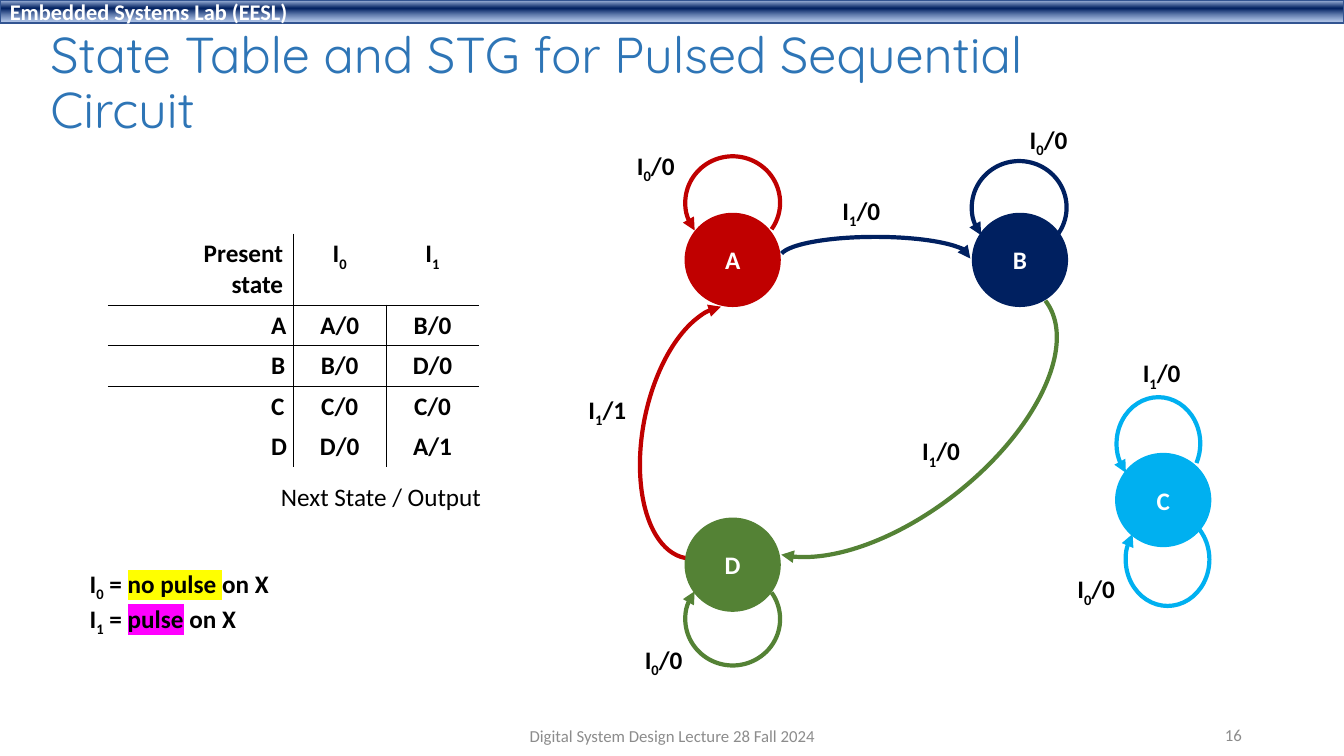
from lxml.etree import SubElement
from pptx import Presentation
from pptx.dml.color import RGBColor
from pptx.enum.shapes import MSO_SHAPE
from pptx.enum.text import MSO_ANCHOR, PP_ALIGN
from pptx.oxml import parse_xml
from pptx.oxml.ns import nsdecls, qn
from pptx.util import Cm, Pt

BLACK = RGBColor(0x00, 0x00, 0x00)
WHITE = RGBColor(0xFF, 0xFF, 0xFF)
GRAY = RGBColor(0x8C, 0x8C, 0x8C)
TITLE_BLUE = RGBColor(0x2E, 0x75, 0xB6)
BAR_LINE = RGBColor(0x32, 0x54, 0x91)
BAR_LIGHT = RGBColor(0xAB, 0xC0, 0xE4)
BAR_END = RGBColor(0x7E, 0x9E, 0xD6)
RED = RGBColor(0xC0, 0x00, 0x00)
NAVY = RGBColor(0x00, 0x20, 0x60)
GREEN = RGBColor(0x54, 0x82, 0x35)
SKY = RGBColor(0x00, 0xB0, 0xF0)
YELLOW = RGBColor(0xFF, 0xFF, 0x00)
MAGENTA = RGBColor(0xFF, 0x00, 0xFF)

NO_STYLE = "{2D5ABB26-0587-4C30-8999-92F81FD0307C}"
INDENT = Cm(1.27)
NODE_W, NODE_H = 2.39, 2.34
LOOP = (86.31, 20.58)

NODES = [("A", 17.27, 5.38, RED), ("B", 24.51, 5.38, NAVY),
         ("C", 28.12, 11.43, SKY), ("D", 17.27, 13.06, GREEN)]
LOOPS = [(17.27, 3.94, NODE_W, LOOP, RED, False),
         (24.49, 4.06, NODE_W, LOOP, NAVY, False),
         (17.27, 14.43, NODE_W, LOOP, GREEN, True),
         (28.14, 10.01, 2.11, (82.86, 16.22), SKY, False),
         (28.37, 12.93, 2.11, (86.31, 26.65), SKY, True)]
EDGES = [((19.66, 5.97, 4.8, 1.02), (109.32, 0.51), NAVY, 0),
         ((14.66, 9.22, 6.45, 3.35), (107.92, 212.45), RED, 281.1),
         ((17.81, 8.08, 9.55, 4.88), (108.02, 208.84), GREEN, 141.9)]
LABELS = [("0", "/0", 15.8, 3.66), ("0", "/0", 25.7, 3), ("1", "/0", 20.98, 4.8),
          ("1", "/1", 14.58, 9.8), ("1", "/0", 22.99, 10.85), ("0", "/0", 16, 16.1),
          ("1", "/0", 28.55, 8.89), ("0", "/0", 26.9, 14.33)]
HEADINGS = ["Present\nstate", None, ("I", "0"), ("I", "1")]
STATES = [("A", "A/0", "B/0"), ("B", "B/0", "D/0"), ("C", "C/0", "C/0"), ("D", "D/0", "A/1")]


def style(p, size=18, color=BLACK, bold=False, font="Calibri", align=PP_ALIGN.LEFT):
    """Format a paragraph and its runs."""
    p.alignment = align
    for r in p.runs:
        r.font.size, r.font.bold, r.font.name = Pt(size), bold, font
        r.font.color.rgb = color


def write_input(p, index, *rest, align=PP_ALIGN.LEFT):
    """Write an input symbol with its subscript and any following runs."""
    for text in ("I", index, *rest):
        p.add_run().text = text
    style(p, bold=True, align=align)
    p.runs[1]._r.get_or_add_rPr().set("baseline", "-25000")


def indent(p):
    """Indent a second-level paragraph."""
    p.level = 1
    pPr = p._p.get_or_add_pPr()
    pPr.set("marL", str(INDENT))
    pPr.set("indent", "0")


def highlight(r, color):
    """Put a highlight behind a run."""
    mark = parse_xml(f'<a:highlight {nsdecls("a")}><a:srgbClr val="{color}"/></a:highlight>')
    r._r.rPr.find(qn("a:latin")).addprevious(mark)


def add_text(s, box, text="", wrap=True, anchor=MSO_ANCHOR.TOP, **look):
    """Add a text box and return its text frame."""
    tf = s.shapes.add_textbox(*map(Cm, box)).text_frame
    tf.word_wrap, tf.vertical_anchor = wrap, anchor
    tf.text = text
    style(tf.paragraphs[0], **look)
    return tf


def add_bar(s):
    """Add the gradient band with the lab name."""
    sp = s.shapes.add_shape(MSO_SHAPE.RECTANGLE, 0, 0, Cm(33.87), Cm(0.58))
    sp.shadow.inherit = False
    sp.line.color.rgb, sp.line.width = BAR_LINE, Pt(1)
    stops = "".join(
        f'<a:gs pos="{pos}000"><a:srgbClr val="{color}"><a:alpha val="{alpha}000"/></a:srgbClr></a:gs>'
        for pos, color, alpha in ((2, BAR_LIGHT, 100), (38, NAVY, 100), (93, BAR_END, 64)))
    fill = parse_xml(f'<a:gradFill {nsdecls("a")} rotWithShape="1"><a:gsLst>{stops}</a:gsLst>'
                     '<a:lin ang="5400000" scaled="0"/></a:gradFill>')
    sp.element.spPr.find(qn("a:prstGeom")).addnext(fill)
    tf = sp.text_frame
    tf.vertical_anchor = MSO_ANCHOR.MIDDLE
    tf.text = "Embedded Systems Lab (EESL)"
    style(tf.paragraphs[0], 16, WHITE, True)


def add_node(s, name, x, y, color):
    """Add a state circle."""
    sp = s.shapes.add_shape(MSO_SHAPE.OVAL, Cm(x), Cm(y), Cm(NODE_W), Cm(NODE_H))
    sp.shadow.inherit = False
    sp.fill.solid()
    sp.fill.fore_color.rgb = sp.line.color.rgb = color
    sp.line.width = Pt(1)
    tf = sp.text_frame
    tf.vertical_anchor = MSO_ANCHOR.MIDDLE
    tf.text = name
    style(tf.paragraphs[0], color=WHITE, bold=True, align=PP_ALIGN.CENTER)


def add_arc(s, box, angles, color, end, rotation=0, flip=False):
    """Add a curved transition with an arrowhead at one end."""
    sp = s.shapes.add_shape(MSO_SHAPE.ARC, *map(Cm, box))
    sp.shadow.inherit = False
    sp.adjustments[0], sp.adjustments[1] = angles
    sp.rotation = rotation
    sp.fill.background()
    sp.line.color.rgb, sp.line.width = color, Pt(3)
    SubElement(sp.element.spPr.find(qn("a:ln")), qn(f"a:{end}"), type="triangle")
    if flip:
        sp.element.spPr.find(qn("a:xfrm")).set("flipV", "1")


def add_borders(cell, row, col):
    """Draw the rules around one cell of the state table."""
    sides = {"L": col == 2 or (col == 3 and row > 0),
             "R": col == 1 or (col == 2 and row > 0) or (row, col) == (0, 0),
             "T": row in (1, 2),
             "B": row in (0, 1)}
    for side, drawn in sides.items():
        if drawn:
            cell._tc.get_or_add_tcPr().append(parse_xml(
                f'<a:ln{side} {nsdecls("a")} w="12700"><a:solidFill>'
                f'<a:srgbClr val="{BLACK}"/></a:solidFill></a:ln{side}>'))
    cell.fill.background()


def add_state_table(s):
    """Add the table of next states and outputs."""
    frame = s.shapes.add_table(5, 4, Cm(2.72), Cm(5.89), Cm(9.35), Cm(5.86))
    table = frame.table
    table.first_row = table.horz_banding = False
    table._tbl.tblPr.find(qn("a:tableStyleId")).text = NO_STYLE
    for column, width in zip(table.columns, (2.59, 2.08, 2.34, 2.34)):
        column.width = Cm(width)
    for i, row in enumerate(table.rows):
        row.height = Cm(1.02 if i else 1.8)
    table.cell(0, 0).merge(table.cell(0, 1))
    for i, values in enumerate([HEADINGS, *((None, *state) for state in STATES)]):
        for j, value in enumerate(values):
            cell = table.cell(i, j)
            add_borders(cell, i, j)
            tf = cell.text_frame
            if isinstance(value, tuple):
                write_input(tf.paragraphs[0], value[1], align=PP_ALIGN.CENTER)
            elif value:
                tf.text = value
                align = PP_ALIGN.RIGHT if i == 0 else PP_ALIGN.LEFT if j == 1 else PP_ALIGN.CENTER
                for p in tf.paragraphs:
                    style(p, bold=True, align=align)
                if i and j == 1:
                    indent(tf.paragraphs[0])


def add_legend(s):
    """Explain the two input symbols."""
    tf = add_text(s, (0.74, 14.2, 7.19, 1.8))
    meanings = [("0", "no pulse ", "on X", YELLOW), ("1", "pulse", " on X", MAGENTA)]
    for p, (index, pulse, rest, color) in zip((tf.paragraphs[0], tf.add_paragraph()), meanings):
        write_input(p, index, " = ", pulse, rest)
        indent(p)
        highlight(p.runs[3], color)


def main():
    """Build the slide."""
    prs = Presentation()
    prs.slide_width, prs.slide_height = Cm(33.87), Cm(19.05)
    s = prs.slides.add_slide(prs.slide_layouts[6])
    add_bar(s)
    title = add_text(s, (1.02, 0.3, 25.4, 3.68), "State Table and STG for Pulsed Sequential Circuit",
                     anchor=MSO_ANCHOR.MIDDLE, size=36, color=TITLE_BLUE, font="Quicksand")
    title.paragraphs[0].line_spacing = 0.9
    add_state_table(s)
    add_text(s, (6.83, 12.01, 5.61, 1.02), "Next State / Output", wrap=False)
    for node in NODES:
        add_node(s, *node)
    for x, y, width, angles, color, flip in LOOPS:
        add_arc(s, (x, y, width, NODE_H), angles, color, "headEnd", flip=flip)
    for box, angles, color, rotation in EDGES:
        add_arc(s, box, angles, color, "tailEnd", rotation)
    for index, output, x, y in LABELS:
        tf = add_text(s, (x, y, 1.5, 1.02), wrap=False)
        write_input(tf.paragraphs[0], index, output)
    add_legend(s)
    add_text(s, (11.23, 18.03, 11.43, 1.02), "Digital System Design Lecture 28 Fall 2024",
             anchor=MSO_ANCHOR.MIDDLE, size=12, color=GRAY, align=PP_ALIGN.CENTER)
    add_text(s, (23.93, 18.01, 7.62, 1.02), "16",
             anchor=MSO_ANCHOR.MIDDLE, size=12, color=GRAY, align=PP_ALIGN.RIGHT)
    prs.save("out.pptx")


if __name__ == "__main__":
    main()
